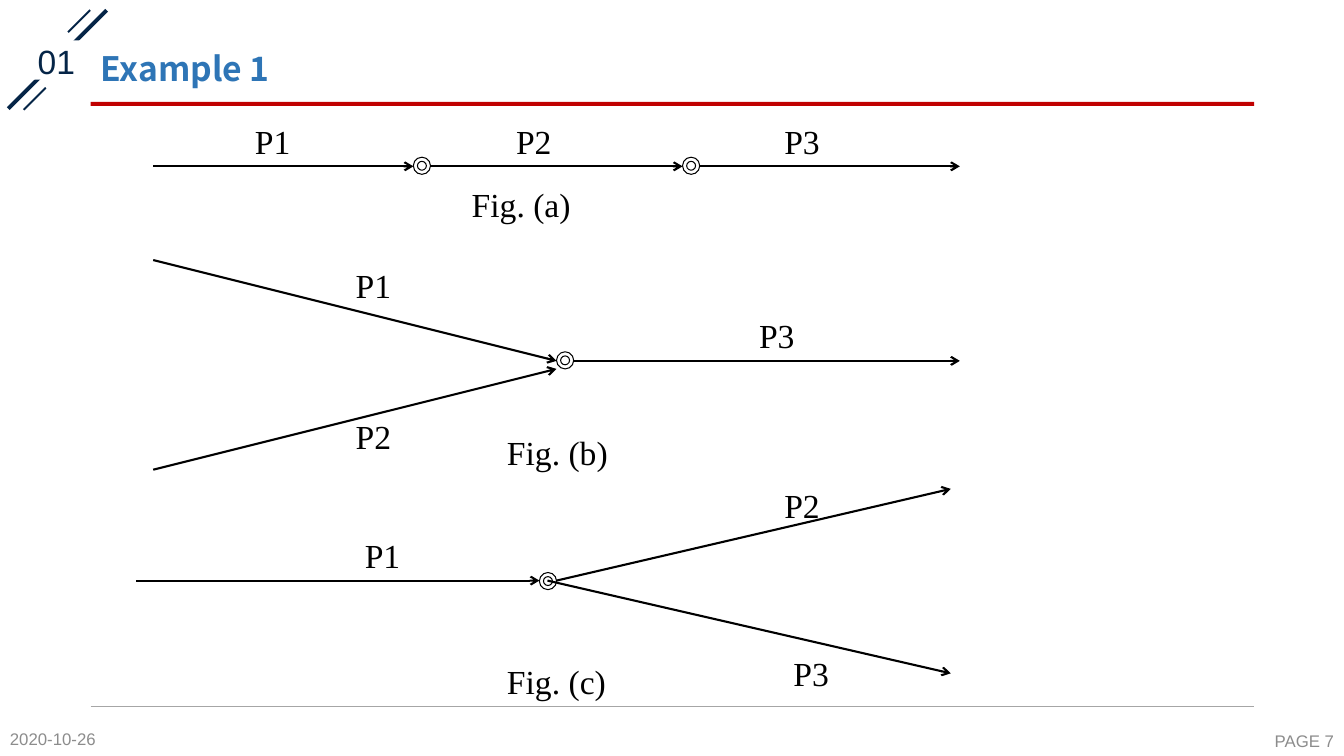
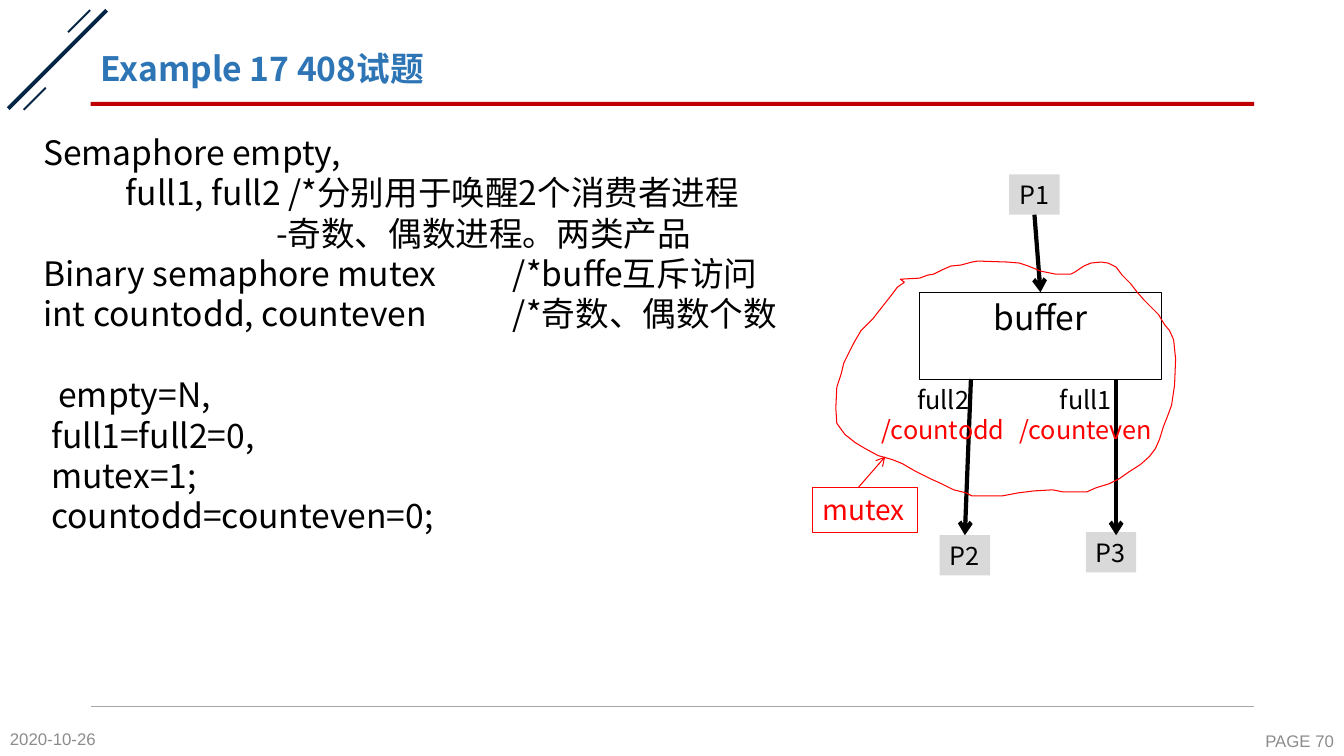
from dataclasses import dataclass

from lxml import etree
from pptx import Presentation
from pptx.dml.color import RGBColor
from pptx.enum.shapes import MSO_CONNECTOR, MSO_SHAPE
from pptx.enum.text import MSO_ANCHOR, MSO_AUTO_SIZE, PP_ALIGN
from pptx.oxml.ns import qn
from pptx.util import Pt

PX = 9144  # EMU per px, 100 px to the inch
RECT, DONUT = MSO_SHAPE.RECTANGLE, MSO_SHAPE.DONUT
STRAIGHT = MSO_CONNECTOR.STRAIGHT
TOP, MIDDLE = MSO_ANCHOR.TOP, MSO_ANCHOR.MIDDLE
LEFT, CENTER, RIGHT = PP_ALIGN.LEFT, PP_ALIGN.CENTER, PP_ALIGN.RIGHT
GROW, FIXED = MSO_AUTO_SIZE.SHAPE_TO_FIT_TEXT, MSO_AUTO_SIZE.NONE
SANS, SERIF, UI = "Noto Sans CJK SC", "Times New Roman", "Arial"
COLORS = {
    "navy": "052547", "rule": "C00000", "hairline": "A6A6A6", "footer": "8C8C8C",
    "title": "2E75B6", "black": "000000", "white": "FFFFFF", "box": "D9D9D9",
    "red": "FF0000",
}
SITE_TOP, SITE_BOTTOM = 0, 2
RING = 17
COMMENT_TAB = 466


@dataclass(frozen=True)
class Style:
    size: int
    font: str
    color: str = "black"
    bold: bool = False
    align: PP_ALIGN = LEFT
    anchor: MSO_ANCHOR = TOP
    spacing: float = 1.0
    wrap: bool = True
    grow: bool = False


@dataclass(frozen=True)
class Para:
    text: str
    indent: int = 0
    before: int = 0
    color: str = ""


@dataclass(frozen=True)
class Box:
    x: int
    y: int
    w: int
    h: int


@dataclass(frozen=True)
class Label:
    text: str
    x: int
    y: int
    w: int = 55


@dataclass(frozen=True)
class Arrow:
    x1: int
    y1: int
    x2: int
    y2: int


TITLE = Style(24, SANS, "title", bold=True, anchor=MIDDLE, spacing=0.9)
NUMBER = Style(24, UI, "navy", align=CENTER, spacing=0.9)
DATE = Style(12, UI, "footer", anchor=MIDDLE)
PAGE = Style(12, UI, "footer", align=RIGHT, anchor=MIDDLE)
FIGURE = Style(24, SERIF, wrap=False, grow=True)
CODE = Style(24, SANS, grow=True)
BUFFER = Style(24, SANS, align=CENTER, wrap=False)
PROCESS = Style(18, SANS, wrap=False, grow=True)
COUNTER = Style(18, SANS, align=CENTER, wrap=False, grow=True)
MUTEX = Style(20, SANS, "red", wrap=False, grow=True)

# Slide 1: precedence graphs
LABELS = [
    Label("P1", 243, 115), Label("P2", 502, 115), Label("P3", 768, 115),
    Label("Fig. (a)", 458, 178, 118),
    Label("P1", 343, 258), Label("P2", 343, 408), Label("P3", 743, 308),
    Label("Fig. (b)", 493, 424, 120),
    Label("P1", 352, 526), Label("P2", 768, 476), Label("P3", 777, 643),
    Label("Fig. (c)", 493, 651, 118),
]
RINGS = [(410, 156), (677, 156), (552, 349), (535, 568)]
ARROWS = [
    Arrow(152, 165, 410, 165), Arrow(427, 165, 677, 165), Arrow(693, 165, 952, 165),
    Arrow(152, 258, 552, 358), Arrow(152, 466, 552, 366), Arrow(568, 358, 952, 358),
    Arrow(135, 576, 535, 576), Arrow(552, 576, 943, 485), Arrow(543, 576, 943, 668),
]

# Slide 2: semaphores and the buffer diagram
DECLARATIONS = [
    Para("Semaphore empty,"),
    Para("full1, full2 /*分别用于唤醒2个消费者进程", indent=82),
    Para("-奇数、偶数进程。两类产品", indent=231),
    Para("Binary semaphore mutex\t/*buffe互斥访问"),
    Para("int countodd, counteven\t/*奇数、偶数个数"),
    Para("empty=N,", indent=15, before=29),
    Para("full1=full2=0,", indent=8),
    Para("mutex=1;", indent=8),
    Para("countodd=counteven=0;", indent=8),
]
COUNTERS = [
    (Box(998, 376, 158, 71), "full1", "/counteven"),
    (Box(861, 376, 149, 71), "full2", "/countodd"),
]
MUTEX_REGION = [
    (893, 277), (912, 276), (920, 273), (926, 272), (934, 268), (943, 264), (953, 263),
    (964, 260), (970, 259), (999, 260), (1011, 261), (1020, 264), (1032, 269),
    (1047, 272), (1062, 272), (1066, 270), (1075, 264), (1082, 261), (1092, 260),
    (1099, 261), (1107, 265), (1113, 273), (1121, 281), (1128, 290), (1135, 298),
    (1142, 305), (1149, 312), (1155, 322), (1160, 328), (1164, 337), (1166, 356),
    (1165, 382), (1162, 402), (1158, 413), (1154, 423), (1150, 436), (1146, 445),
    (1140, 453), (1131, 461), (1120, 468), (1110, 475), (1100, 480), (1087, 484),
    (1078, 488), (1054, 488), (1044, 486), (1026, 487), (1010, 489), (994, 492),
    (964, 492), (958, 489), (946, 486), (934, 480), (925, 476), (917, 472), (907, 467),
    (895, 460), (885, 456), (871, 452), (858, 445), (848, 439), (838, 431), (830, 420),
    (829, 405), (830, 384), (834, 372), (837, 360), (843, 348), (847, 340), (854, 328),
    (866, 316), (873, 307), (884, 293), (890, 285), (897, 280),
]


def rgb(name: str) -> RGBColor:
    return RGBColor.from_string(COLORS[name])


def emu(box: Box) -> tuple[int, int, int, int]:
    return box.x * PX, box.y * PX, box.w * PX, box.h * PX


def write(sp, paras: list[Para], style: Style) -> None:
    tf = sp.text_frame
    tf.word_wrap = style.wrap
    tf.auto_size = GROW if style.grow else FIXED
    tf.vertical_anchor = style.anchor
    for i, para in enumerate(paras):
        p = tf.paragraphs[0] if i == 0 else tf.add_paragraph()
        pPr = p._p.get_or_add_pPr()
        if para.indent:
            pPr.set("marL", str(para.indent * PX))
        if "\t" in para.text:
            tabs = etree.SubElement(pPr, qn("a:tabLst"))
            etree.SubElement(tabs, qn("a:tab"), pos=str(COMMENT_TAB * PX), algn="l")
        p.alignment = style.align
        p.line_spacing = style.spacing
        if para.before:
            p.space_before = Pt(para.before)
        r = p.add_run()
        r.text = para.text
        r.font.size = Pt(style.size)
        r.font.bold = style.bold
        r.font.color.rgb = rgb(para.color or style.color)
        r.font.name = style.font
        etree.SubElement(r._r.get_or_add_rPr(), qn("a:ea"), typeface=style.font)


def add_text(s, box: Box, paras: list[Para], style: Style) -> None:
    write(s.shapes.add_textbox(*emu(box)), paras, style)


def paint(sp, fill: str = "", line: str = "") -> None:
    sp.shadow.inherit = False
    if fill:
        sp.fill.solid()
        sp.fill.fore_color.rgb = rgb(fill)
    else:
        sp.fill.background()
    if line:
        sp.line.color.rgb = rgb(line)
        sp.line.width = Pt(0.75)
    else:
        sp.line.fill.background()


def add_shape(s, box: Box, fill: str = "", line: str = "", kind: MSO_SHAPE = RECT):
    sp = s.shapes.add_shape(kind, *emu(box))
    paint(sp, fill, line)
    return sp


def add_line(s, a: Arrow, color: str, width: float, head: bool = True):
    c = s.shapes.add_connector(STRAIGHT, a.x1 * PX, a.y1 * PX, a.x2 * PX, a.y2 * PX)
    c.line.color.rgb = rgb(color)
    c.line.width = Pt(width)
    spPr = c.element.spPr
    if head:
        etree.SubElement(spPr.find(qn("a:ln")), qn("a:tailEnd"), type="arrow")
    etree.SubElement(spPr, qn("a:effectLst"))
    return c


def add_base(prs, title: str, page: str):
    s = prs.slides.add_slide(prs.slide_layouts[6])
    # Corner slashes and rules
    for box in (Box(-12, 57, 138, 4), Box(63, 20, 31, 2), Box(19, 97, 31, 2)):
        add_shape(s, box, "navy").rotation = 315
    add_shape(s, Box(90, 101, 1154, 4), "rule")
    add_line(s, Arrow(90, 701, 1244, 701), "hairline", 0.5, head=False)
    # Footer and title
    add_text(s, Box(0, 716, 118, 34), [Para("2020-10-26")], DATE)
    add_text(s, Box(1189, 718, 144, 34), [Para(page)], PAGE)
    add_text(s, Box(90, 40, 1154, 60), [Para(title)], TITLE)
    return s


def build_graphs(prs) -> None:
    s = add_base(prs, "Example 1", "PAGE 7")
    write(add_shape(s, Box(23, 40, 66, 39), "white"), [Para("01")], NUMBER)
    for label in LABELS:
        add_text(s, Box(label.x, label.y, label.w, 50), [Para(label.text)], FIGURE)
    for x, y in RINGS:
        ring = add_shape(s, Box(x, y, RING, RING), line="black", kind=DONUT)
        ring.adjustments[0] = 0.24
    for arrow in ARROWS:
        add_line(s, arrow, "black", 1.5)


def build_buffer(prs) -> None:
    s = add_base(prs, "Example 17 408试题", "PAGE 70")
    add_text(s, Box(33, 126, 866, 414), DECLARATIONS, CODE)

    # Buffer and processes
    buffer = add_shape(s, Box(912, 290, 240, 87), line="black")
    write(buffer, [Para("buffer")], BUFFER)
    process = {}
    for name, x, y in (("P1", 1001, 173), ("P2", 932, 531), ("P3", 1077, 528)):
        process[name] = add_shape(s, Box(x, y, 50, 40), "box")
        write(process[name], [Para(name)], PROCESS)

    # Flow arrows
    produce = add_line(s, Arrow(1026, 213, 1032, 290), "black", 3)
    produce.begin_connect(process["P1"], SITE_BOTTOM)
    produce.end_connect(buffer, SITE_TOP)
    consume = add_line(s, Arrow(963, 376, 957, 531), "black", 3)
    consume.end_connect(process["P2"], SITE_TOP)
    add_line(s, Arrow(1107, 376, 1107, 531), "black", 3)
    for box, semaphore, count in COUNTERS:
        add_text(s, box, [Para(semaphore), Para(count, color="red")], COUNTER)

    # Region guarded by the mutex
    outline = s.shapes.build_freeform(*MUTEX_REGION[0], scale=PX)
    outline.add_line_segments(MUTEX_REGION[1:], close=True)
    paint(outline.convert_to_shape(), line="red")
    write(add_shape(s, Box(806, 484, 104, 44), line="red"), [Para("mutex")], MUTEX)
    add_line(s, Arrow(851, 484, 878, 453), "red", 0.75)


def main() -> None:
    prs = Presentation()
    prs.slide_width, prs.slide_height = 1333 * PX, 750 * PX
    build_graphs(prs)
    build_buffer(prs)
    prs.save("out.pptx")


if __name__ == "__main__":
    main()
